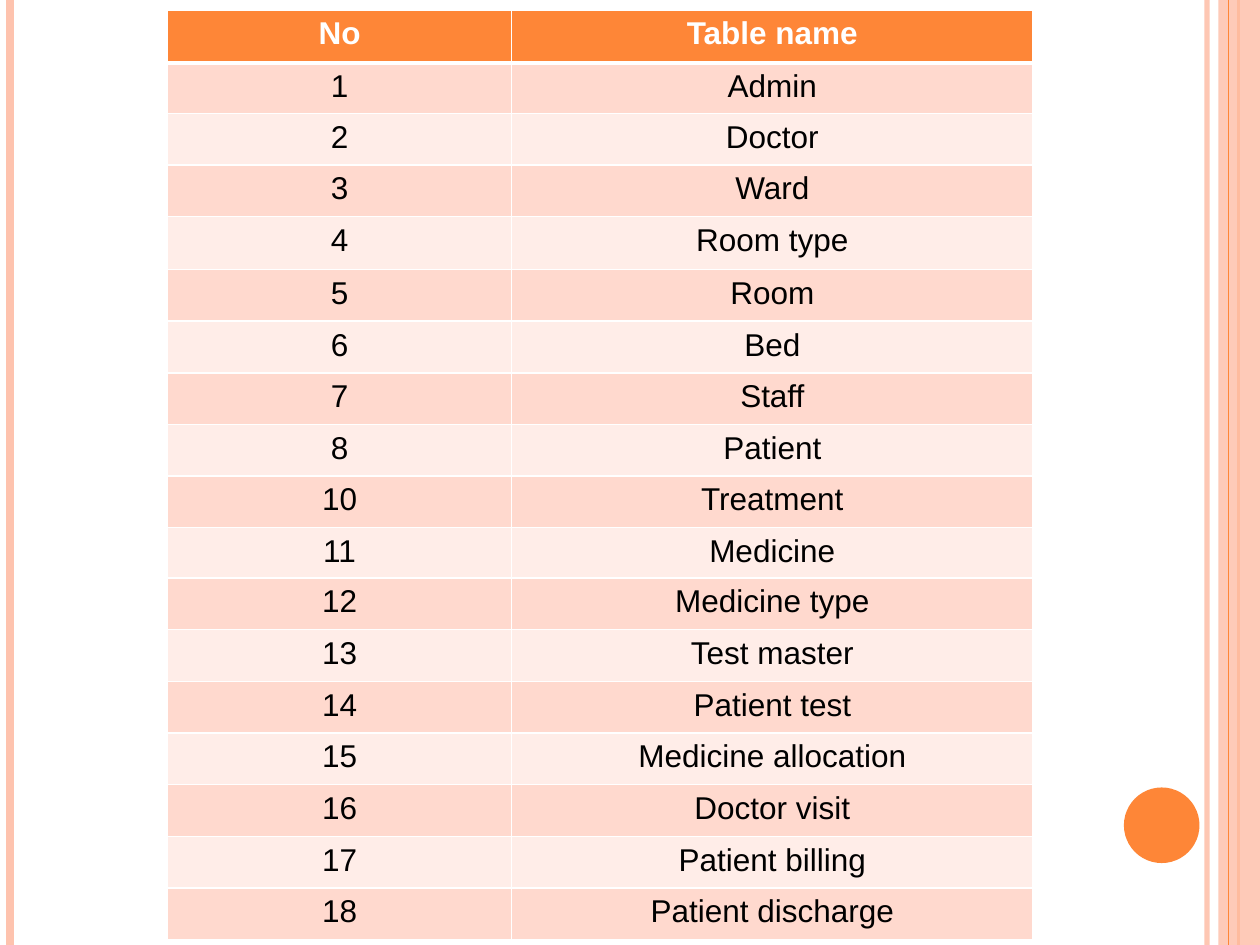
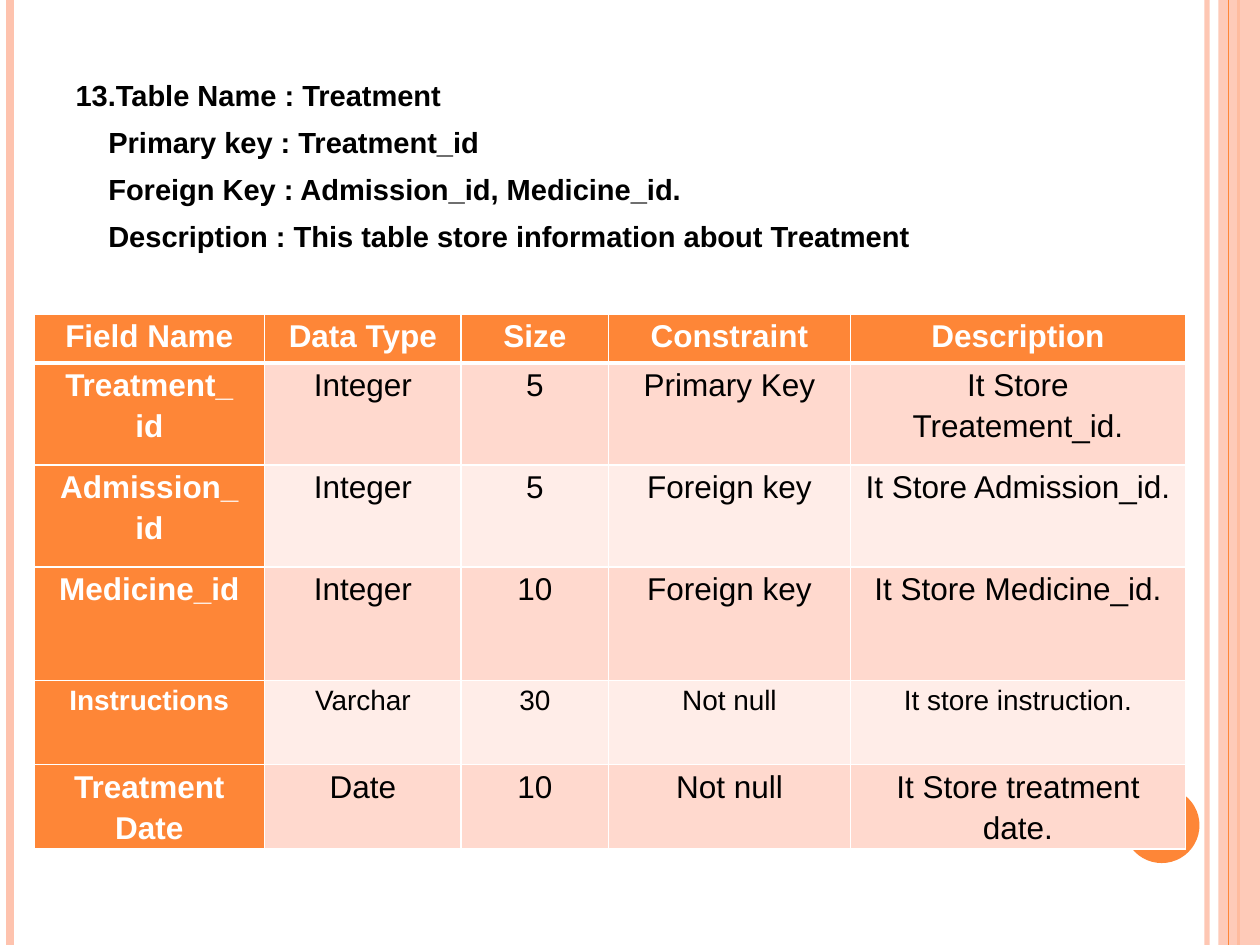
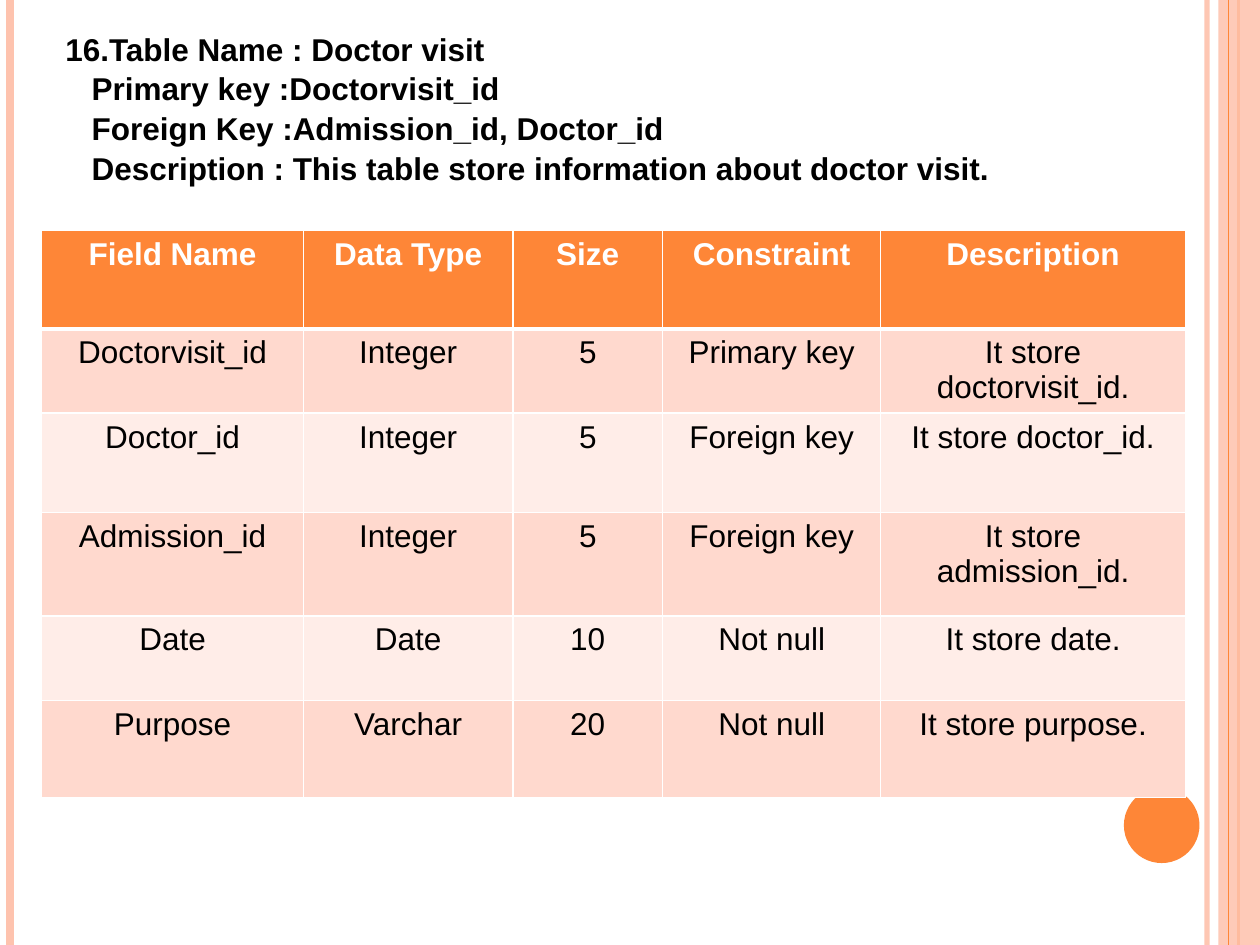
from lxml.etree import SubElement
from pptx import Presentation
from pptx.dml.color import RGBColor
from pptx.enum.shapes import MSO_CONNECTOR, MSO_SHAPE
from pptx.enum.text import MSO_ANCHOR, MSO_AUTO_SIZE, PP_ALIGN
from pptx.oxml.ns import qn
from pptx.util import Inches, Pt

ORANGE = RGBColor(0xFE, 0x86, 0x37)
PEACH = RGBColor(0xFE, 0xC3, 0xAE)
ROSE = RGBColor(0xFF, 0xD9, 0xCE)
BLUSH = RGBColor(0xFF, 0xED, 0xE8)
WHITE = RGBColor(0xFF, 0xFF, 0xFF)
BLACK = RGBColor(0, 0, 0)

FIELDS = ["Field Name", "Data Type", "Size", "Constraint", "Description"]

INDEX = [
    ("No", "Table name"),
    ("1", "Admin"),
    ("2", "Doctor"),
    ("3", "Ward"),
    ("4", "Room type"),
    ("5", "Room"),
    ("6", "Bed"),
    ("7", "Staff"),
    ("8", "Patient"),
    ("10", "Treatment"),
    ("11", "Medicine"),
    ("12", "Medicine type"),
    ("13", "Test master"),
    ("14", "Patient test"),
    ("15", "Medicine allocation"),
    ("16", "Doctor visit"),
    ("17", "Patient billing"),
    ("18", "Patient discharge"),
]

CURE_HEAD = [
    "13.Table Name : Treatment",
    "Primary key : Treatment_id",
    "Foreign Key : Admission_id, Medicine_id.",
    "Description : This table store information about Treatment",
]
CURE = [
    FIELDS,
    ("Treatment_\nid", "Integer", "5", "Primary Key", "It Store Treatement_id."),
    ("Admission_\nid", "Integer", "5", "Foreign key", "It Store Admission_id."),
    ("Medicine_id", "Integer", "10", "Foreign key", "It Store Medicine_id."),
    ("Instructions", "Varchar", "30", "Not null", "It store instruction."),
    ("Treatment\nDate", "Date", "10", "Not null", "It Store treatment date."),
]

VISIT_HEAD = [
    "16.Table Name : Doctor visit",
    "Primary key :Doctorvisit_id",
    "Foreign Key :Admission_id, Doctor_id",
    "Description : This table store information about doctor visit.",
]
VISIT = [
    FIELDS,
    ("Doctorvisit_id", "Integer", "5", "Primary key", "It store doctorvisit_id."),
    ("Doctor_id", "Integer", "5", "Foreign key", "It store doctor_id."),
    ("Admission_id", "Integer", "5", "Foreign key", "It store admission_id."),
    ("Date", "Date", "10", "Not null", "It store date."),
    ("Purpose", "Varchar", "20", "Not null", "It store purpose."),
]

RULES = [
    (9.58, PEACH, 3, 93),
    (0.08, PEACH, 4.5, 100),
    (9.83, ORANGE, 1.5, 100),
]


def fade(shape, pct):
    tint = next(shape._element.iter(qn("a:srgbClr")))
    SubElement(tint, qn("a:alpha")).set("val", str(pct * 1000))


def write(frame, lines, size=18, color=BLACK, bold=False, align=PP_ALIGN.LEFT,
          gap=0, pitch=1.0, indent=0):
    frame.word_wrap = True
    for num, line in enumerate(lines):
        para = frame.add_paragraph() if num else frame.paragraphs[0]
        props = para._p.get_or_add_pPr()
        props.set("marL", str(Inches(indent if num else 0)))
        props.set("indent", "0")
        SubElement(props, qn("a:buNone"))
        para.alignment = align
        para.line_spacing = pitch
        para.space_before = Pt(gap if num else 0)
        run = para.add_run()
        run.text = line
        font = run.font
        font.name, font.size, font.bold = "Arial", Pt(size), bold
        font.color.rgb = color


def rule(slide, x, color, width, pct=100):
    line = slide.shapes.add_connector(
        MSO_CONNECTOR.STRAIGHT, Inches(x), 0, Inches(x), Inches(7.5))
    line.line.color.rgb = color
    line.line.width = Pt(width)
    SubElement(line._element.spPr, qn("a:effectLst"))
    if pct < 100:
        fade(line, pct)


def block(slide, kind, box, color):
    shape = slide.shapes.add_shape(kind, *map(Inches, box))
    shape.shadow.inherit = False
    shape.fill.solid()
    shape.fill.fore_color.rgb = color
    shape.line.fill.background()
    return shape


def start(deck, layout):
    slide = deck.slides.add_slide(deck.slide_layouts[layout])
    for item in RULES:
        rule(slide, *item)
    fade(block(slide, MSO_SHAPE.RECTANGLE, (9.67, 0, 0.33, 7.5), PEACH), 87)
    rule(slide, 9.75, ORANGE, 0.75)
    block(slide, MSO_SHAPE.OVAL, (8.92, 6.25, 0.6, 0.6), ORANGE)
    return slide


def edge(cell, row):
    props = cell._tc.get_or_add_tcPr()
    thick = {"lnT": row == 1, "lnB": row == 0}
    for side in ("lnL", "lnR", "lnT", "lnB"):
        line = SubElement(props, qn("a:" + side))
        line.set("w", str(Pt(3 if thick.get(side) else 1)))
        fill = SubElement(line, qn("a:solidFill"))
        SubElement(fill, qn("a:srgbClr")).set("val", str(WHITE))


def grid(slide, data, left, top, cols, rows, inset=(0.1, 0.05), pitch=1.0,
         side=False, small=None):
    table = slide.shapes.add_table(
        len(rows), len(cols), Inches(left), Inches(top),
        Inches(sum(cols)), Inches(sum(rows))).table
    table.first_col = side
    for col, width in zip(table.columns, cols):
        col.width = Inches(width)
    for r, (line, high) in enumerate(zip(data, rows)):
        table.rows[r].height = Inches(high)
        for c, text in enumerate(line):
            cell = table.cell(r, c)
            head = r == 0 or (side and c == 0)
            cell.margin_left = cell.margin_right = Inches(inset[0])
            cell.margin_top = cell.margin_bottom = Inches(inset[1])
            edge(cell, r)
            cell.fill.solid()
            cell.fill.fore_color.rgb = ORANGE if head else ROSE if r % 2 else BLUSH
            write(cell.text_frame, text.split("\n"), bold=head, pitch=pitch,
                  color=WHITE if head else BLACK, align=PP_ALIGN.CENTER,
                  size=16 if r == small else 18)


def main():
    deck = Presentation()
    deck.slide_width, deck.slide_height = Inches(10), Inches(7.5)

    slide = start(deck, 6)
    tall = {0: 0.42, 1: 0.4, 4: 0.42, 10: 0.4}
    grid(slide, INDEX, 1.33, 0.08, [2.73, 4.14],
         [tall.get(r, 0.41) for r in range(len(INDEX))])

    slide = start(deck, 1)
    title = slide.shapes.title._element
    title.getparent().remove(title)
    body = slide.placeholders[1]
    body.left, body.top, body.width, body.height = map(Inches, (0.5, 0.55, 9, 1.72))
    body.text_frame.auto_size = MSO_AUTO_SIZE.NONE
    body.text_frame.vertical_anchor = MSO_ANCHOR.TOP
    write(body.text_frame, CURE_HEAD, size=16.6, bold=True, gap=6, pitch=1.05,
          indent=0.26)
    grid(slide, CURE, 0.27, 2.49, [1.83, 1.56, 1.17, 1.92, 2.66],
         [0.39, 0.81, 0.81, 0.9, 0.67, 0.67], inset=(0.08, 0), pitch=1.15,
         side=True, small=4)

    slide = start(deck, 6)
    grid(slide, VISIT, 0.33, 1.83, [2.08, 1.66, 1.19, 1.73, 2.42],
         [0.78, 0.67, 0.79, 0.82, 0.67, 0.77])
    note = slide.shapes.add_textbox(*map(Inches, (0.42, 0.17, 8.5, 1.31)))
    write(note.text_frame, VISIT_HEAD, bold=True, pitch=1.05, indent=0.21)

    deck.save("out.pptx")


if __name__ == "__main__":
    main()
